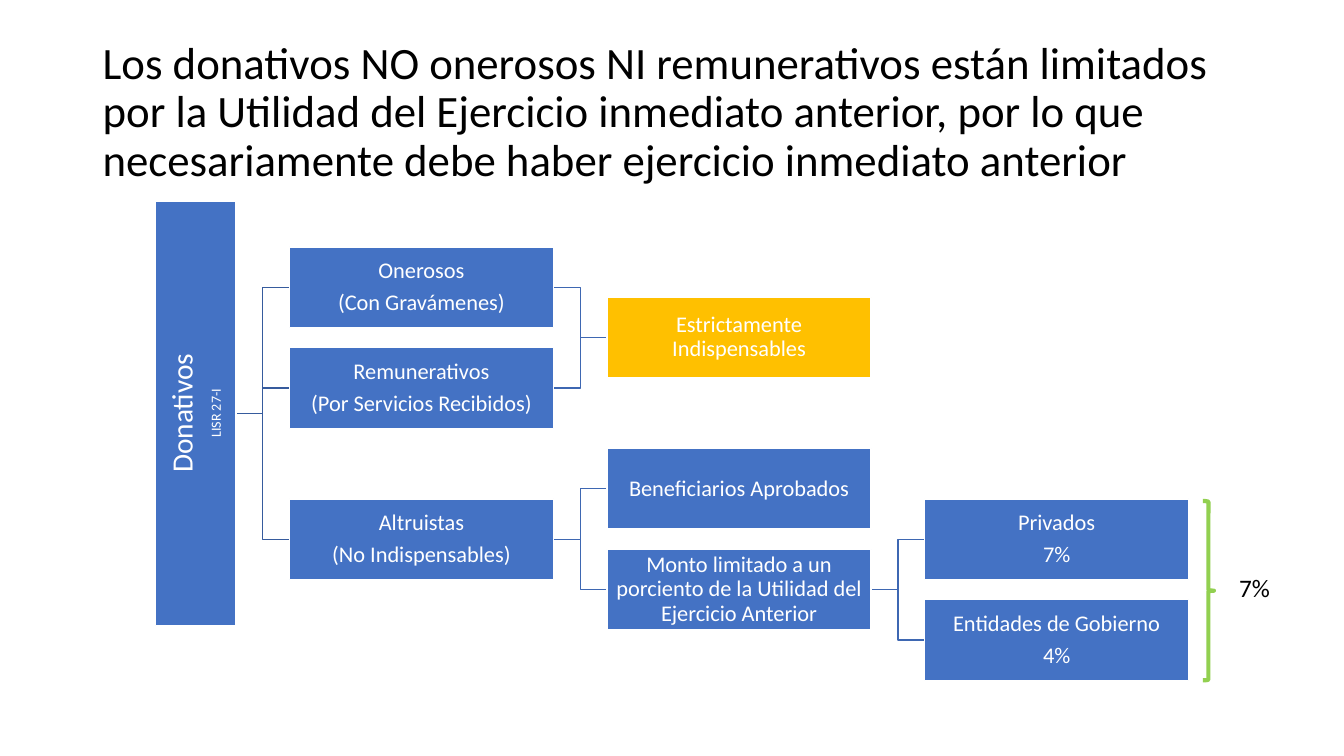
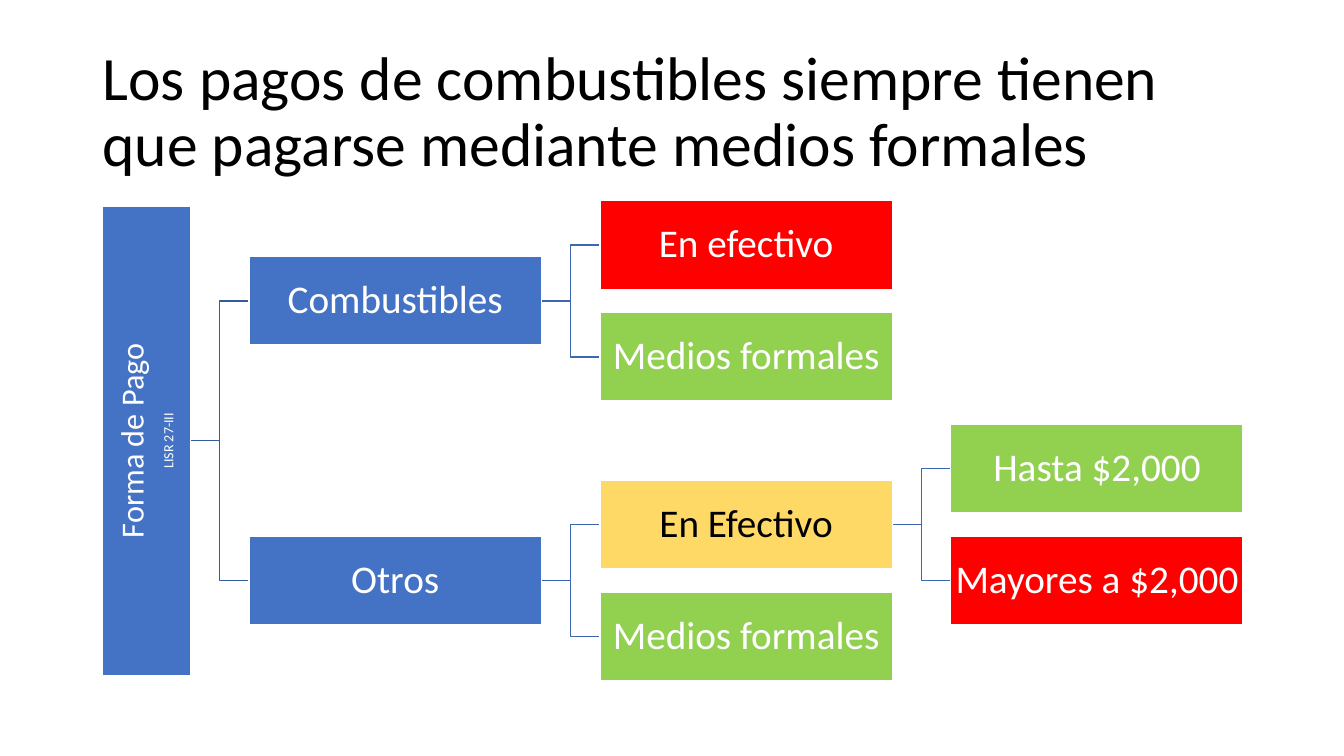
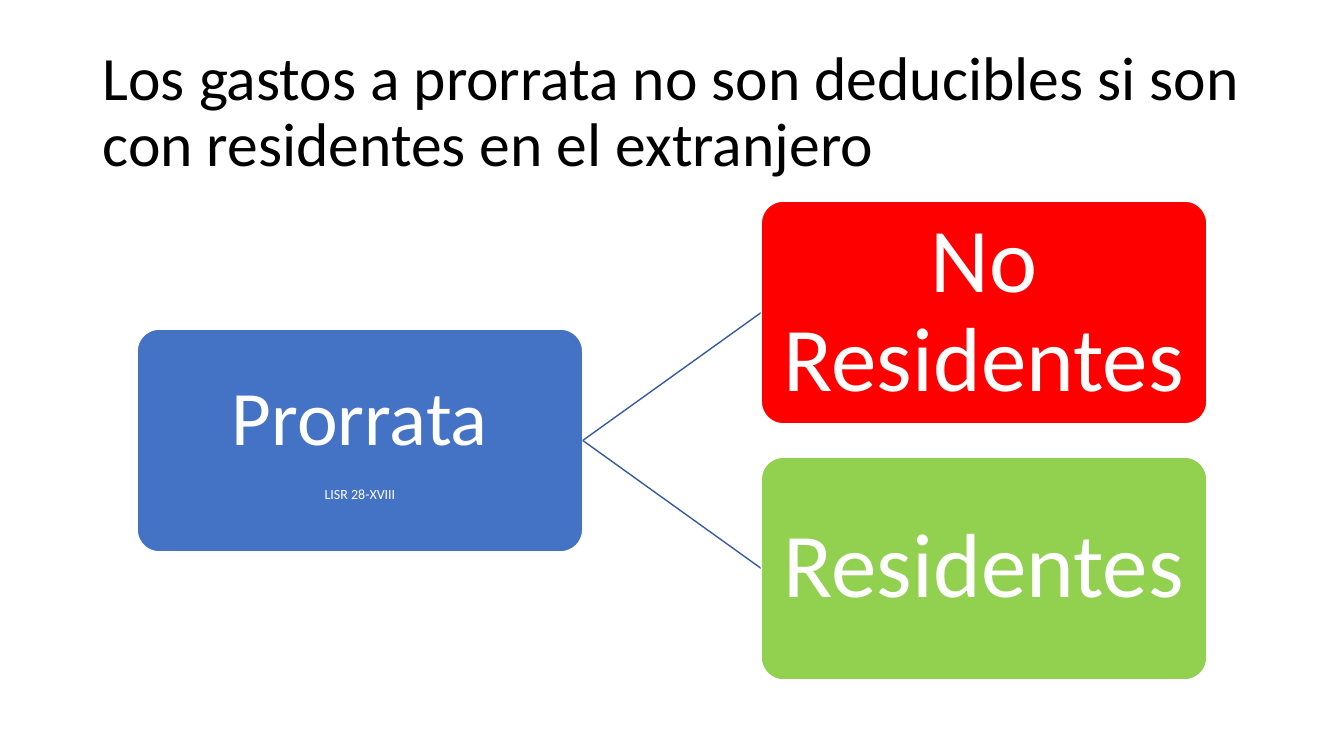
from dataclasses import dataclass

from lxml import etree
from pptx import Presentation
from pptx.dml.color import RGBColor
from pptx.enum.shapes import MSO_CONNECTOR, MSO_SHAPE
from pptx.enum.text import MSO_ANCHOR, PP_ALIGN
from pptx.oxml.ns import qn
from pptx.util import Inches, Pt

RECT, ROUND, BRACE = MSO_SHAPE.RECTANGLE, MSO_SHAPE.ROUNDED_RECTANGLE, MSO_SHAPE.RIGHT_BRACE
ELBOW, STRAIGHT = MSO_CONNECTOR.ELBOW, MSO_CONNECTOR.STRAIGHT
MIDDLE, CENTER = MSO_ANCHOR.MIDDLE, PP_ALIGN.CENTER


@dataclass(frozen=True)
class Theme:
    font: str = "Calibri"
    ink: RGBColor = RGBColor.from_string("000000")
    white: RGBColor = RGBColor.from_string("FFFFFF")
    blue: RGBColor = RGBColor.from_string("4472C4")
    amber: RGBColor = RGBColor.from_string("FFC000")
    sand: RGBColor = RGBColor.from_string("FFD966")
    red: RGBColor = RGBColor.from_string("FF0000")
    green: RGBColor = RGBColor.from_string("92D050")
    root_link: RGBColor = RGBColor.from_string("365B9D")
    link: RGBColor = RGBColor.from_string("3E67B2")
    title: int = 44
    long_title: int = 32
    label: int = 18
    article: int = 10
    leading: float = 0.9
    after: float = 0.33


T = Theme()


def add_box(s, shape, cx, cy, w, h, lines, fill, inset, rotation=0):
    sp = s.shapes.add_shape(shape, Inches(cx - w / 2), Inches(cy - h / 2), Inches(w), Inches(h))
    sp.rotation = rotation
    sp.shadow.inherit = False
    sp.fill.solid()
    sp.fill.fore_color.rgb = fill
    sp.line.color.rgb = T.white
    sp.line.width = Pt(1)
    tf = sp.text_frame
    tf.word_wrap = True
    tf.vertical_anchor = MIDDLE
    tf.margin_left = tf.margin_right = tf.margin_top = tf.margin_bottom = Inches(inset)
    for i, (text, size) in enumerate(lines):
        p = tf.add_paragraph() if i else tf.paragraphs[0]
        p.text = text
        p.alignment = CENTER
        p.line_spacing = T.leading
        if i < len(lines) - 1:
            p.space_after = Pt(round(size * T.after, 1))
        p.font.name = T.font
        p.font.size = Pt(size)
        p.font.color.rgb = T.ink if fill == T.sand else T.white
    return sp


def add_link(s, kind, x1, y1, x2, y2, color):
    c = s.shapes.add_connector(kind, Inches(x1), Inches(y1), Inches(x2), Inches(y2))
    c.line.color.rgb = color
    c.line.width = Pt(1)
    etree.SubElement(c._element.spPr, qn("a:effectLst"))


prs = Presentation()
prs.slide_width, prs.slide_height = Inches(13.33), Inches(7.5)

titles = [
    ("Los donativos NO onerosos NI remunerativos están limitados por la Utilidad del Ejercicio "
     "inmediato anterior, por lo que necesariamente debe haber ejercicio inmediato anterior", T.long_title),
    ("Los pagos de combustibles siempre tienen que pagarse mediante medios formales", T.title),
    ("Los gastos a prorrata no son deducibles si son con residentes en el extranjero", T.title),
]
for text, size in titles:
    s = prs.slides.add_slide(prs.slide_layouts[6])
    tf = s.shapes.add_textbox(Inches(0.92), Inches(0.4), Inches(11.5), Inches(1.45)).text_frame
    tf.word_wrap = True
    tf.vertical_anchor = MIDDLE
    p = tf.paragraphs[0]
    p.text = text
    p.line_spacing = T.leading
    p.font.name = T.font
    p.font.size = Pt(size)
    p.font.color.rgb = T.ink
donations, payments, apportioned = prs.slides

# Each node: column, row, lines, fill, rows of the nodes it is linked from
donation_nodes = [
    (0, 0, ["Onerosos", "(Con Gravámenes)"], T.blue, [1.25]),
    (0, 1, ["Remunerativos", "(Por Servicios Recibidos)"], T.blue, [1.25]),
    (0, 2.5, ["Altruistas", "(No Indispensables)"], T.blue, [1.25]),
    (1, 0.5, ["Estrictamente Indispensables"], T.amber, [0, 1]),
    (1, 2, ["Beneficiarios Aprobados"], T.blue, [2.5]),
    (1, 3, ["Monto limitado a un porciento de la Utilidad del Ejercicio Anterior"], T.blue, [2.5]),
    (2, 2.5, ["Privados", "7%"], T.blue, [3]),
    (2, 3.5, ["Entidades de Gobierno", "4%"], T.blue, [3]),
]
payment_nodes = [
    (0, 0.5, ["Combustibles"], T.blue, [1.75]),
    (0, 3, ["Otros"], T.blue, [1.75]),
    (1, 0, ["En efectivo"], T.red, [0.5]),
    (1, 1, ["Medios formales"], T.green, [0.5]),
    (1, 2.5, ["En Efectivo"], T.sand, [3]),
    (1, 3.5, ["Medios formales"], T.green, [3]),
    (2, 2, ["Hasta $2,000"], T.green, [2.5]),
    (2, 3, ["Mayores a $2,000"], T.red, [2.5]),
]
trees = [
    dict(slide=donations, left=2.87, top=2.85, w=2.62, h=0.8, gap=0.53, pitch=1, size=16, inset=0.01,
         root=("Donativos", 21), article="LISR 27-I", root_row=1.25, root_length=4.21, nodes=donation_nodes),
    dict(slide=payments, left=2.47, top=2.43, w=2.9, h=0.88, gap=0.58, pitch=1.11, size=28, inset=0.02,
         root=("Forma de Pago", 23), article="LISR 27-III", root_row=1.75, root_length=4.66, nodes=payment_nodes),
]
for t in trees:
    s, w, h, gap = t["slide"], t["w"], t["h"], t["gap"]
    top, pitch = t["top"], t["pitch"]
    for col, row, lines, fill, parents in t["nodes"]:
        x = t["left"] + col * (w + gap)
        for parent in parents:
            add_link(s, ELBOW, x - gap, top + parent * pitch, x, top + row * pitch,
                     T.link if col else T.root_link)
    add_box(s, RECT, t["left"] - gap - h / 2, top + t["root_row"] * pitch, t["root_length"], h,
            [t["root"], (t["article"], T.article)], T.blue, t["inset"], 270)
    for col, row, lines, fill, parents in t["nodes"]:
        add_box(s, RECT, t["left"] + col * (w + gap) + w / 2, top + row * pitch, w, h,
                [(line, t["size"]) for line in lines], fill, t["inset"])

brace = donations.shapes.add_shape(BRACE, Inches(11.93), Inches(4.97), Inches(0.11), Inches(1.78))
brace.shadow.inherit = False
brace.fill.background()
brace.line.color.rgb = T.green
brace.line.width = Pt(3)
tf = donations.shapes.add_textbox(Inches(12.19), Inches(5.63), Inches(0.51), Inches(0.4)).text_frame
tf.word_wrap = False
p = tf.paragraphs[0]
p.text = "7%"
p.font.name = T.font
p.font.size = Pt(T.label)
p.font.color.rgb = T.ink

w, h, root_x, root_y, branch_x, spread = 4.42, 2.21, 3.57, 4.37, 9.76, 1.27
branches = [
    (root_x, root_y, [("Prorrata", 55), ("LISR 28-XVIII", T.article)], T.blue),
    (branch_x, root_y - spread, [("No Residentes", 65)], T.red),
    (branch_x, root_y + spread, [("Residentes", 65)], T.green),
]
for cx, cy, lines, fill in branches:
    if cx == branch_x:
        add_link(apportioned, STRAIGHT, root_x + w / 2, root_y, cx - w / 2, cy, T.root_link)
    sp = add_box(apportioned, ROUND, cx, cy, w, h, lines, fill, 0.05)
    sp.adjustments[0] = 0.1

prs.save("out.pptx")
